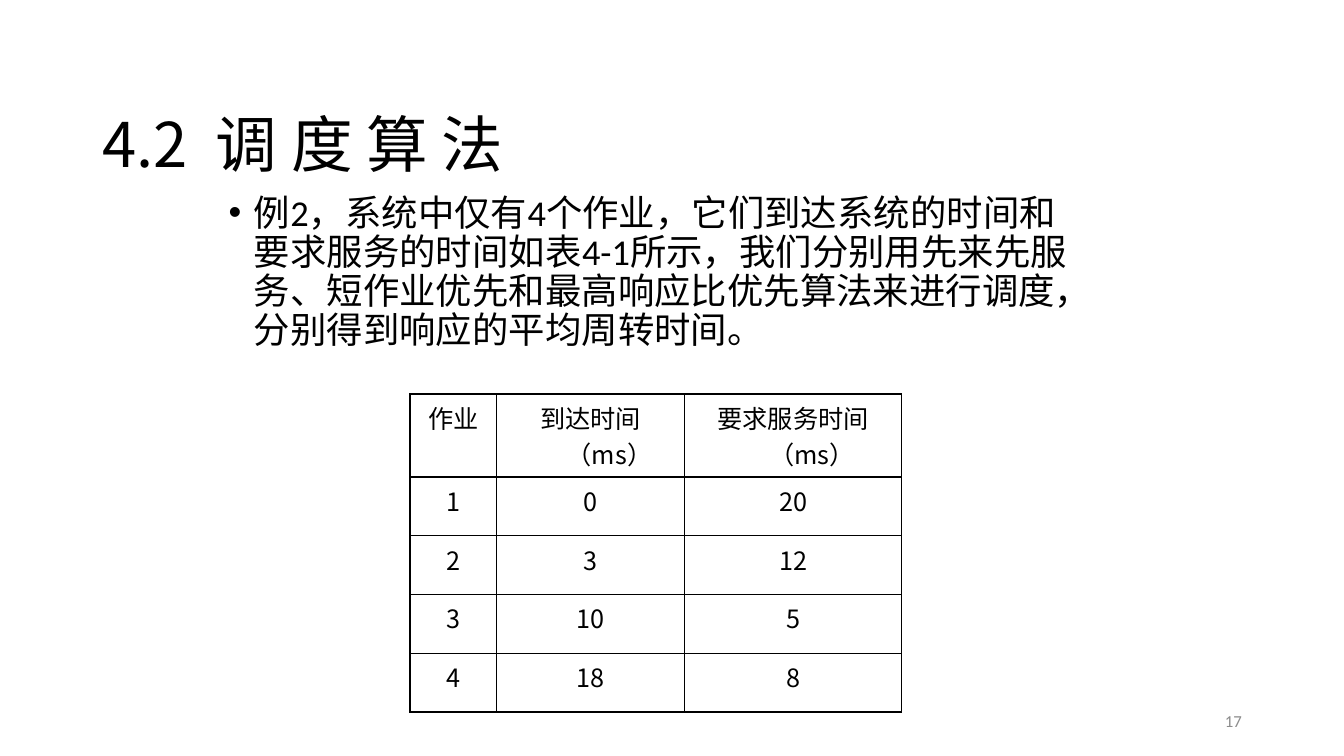
from lxml import etree
from pptx import Presentation
from pptx import util as u
from pptx.dml.color import RGBColor
from pptx.enum import text as t
from pptx.oxml import ns

BLACK = "000000"
GREY = "8C8C8C"
SANS = "Noto Sans CJK SC"
LATIN = "Calibri"
JOBS = [
    ("作业", "到达时间（ms）", "要求服务时间（ms）"),
    ("1", "0", "20"),
    ("2", "3", "12"),
    ("3", "10", "5"),
    ("4", "18", "8"),
]
COLUMN_WIDTHS = [2.19, 4.73, 5.47]
ROW_HEIGHTS = [2.09] + [1.48] * 4


def colour(code):
    return RGBColor.from_string(code)


def apply(target, values):
    for key, value in values.items():
        setattr(target, key, value)


def add_child(parent, tag, **attributes):
    return etree.SubElement(parent, ns.qn(tag), attributes)


def write(frame, words, font, size, code=BLACK, **layout):
    frame.word_wrap = True
    paragraph = frame.paragraphs[0]
    apply(paragraph, layout)
    run = paragraph.add_run()
    run.text = words
    apply(run.font, {"name": font, "size": u.Pt(size), "bold": False})
    run.font.color.rgb = colour(code)
    add_child(run.font._element, "a:ea", typeface=font)
    return paragraph


def hang(paragraph, indent):
    properties = paragraph._p.get_or_add_pPr()
    properties.set("marL", str(indent))
    properties.set("indent", str(-indent))
    return properties


def add_title(slide, words):
    title = slide.shapes.title
    apply(title, {"left": u.Cm(2.33), "top": u.Cm(1.01),
                  "width": u.Cm(29.21), "height": u.Cm(3.68)})
    apply(title.text_frame, {"vertical_anchor": t.MSO_ANCHOR.BOTTOM,
                             "auto_size": t.MSO_AUTO_SIZE.NONE})
    write(title.text_frame, words, SANS, 44,
          alignment=t.PP_ALIGN.LEFT, line_spacing=0.9)


def add_text(slide, left, top, width, height):
    box = slide.shapes.add_textbox(u.Cm(left), u.Cm(top), u.Cm(width), u.Cm(height))
    return box.text_frame


def add_example(slide, words):
    frame = add_text(slide, 5.51, 4.78, 22.23, 12.24)
    paragraph = write(frame, words, LATIN, 26,
                      line_spacing=0.9, space_before=u.Pt(10))
    properties = hang(paragraph, u.Cm(0.64))
    add_child(properties, "a:buFont", typeface="Arial")
    add_child(properties, "a:buChar", char="•")


def add_borders(cell):
    properties = cell._tc.get_or_add_tcPr()
    for position, side in enumerate(("a:lnL", "a:lnR", "a:lnT", "a:lnB")):
        line = etree.Element(ns.qn(side), w=str(u.Pt(1)))
        fill = add_child(line, "a:solidFill")
        add_child(fill, "a:srgbClr", val=BLACK)
        properties.insert(position, line)


def add_jobs(slide):
    frame = slide.shapes.add_table(
        len(JOBS), len(COLUMN_WIDTHS), u.Cm(10.33), u.Cm(9.93),
        u.Cm(sum(COLUMN_WIDTHS)), u.Cm(sum(ROW_HEIGHTS)))
    jobs = frame.table
    apply(jobs, {"first_row": False, "horz_banding": False})
    for column, width in zip(jobs.columns, COLUMN_WIDTHS):
        column.width = u.Cm(width)
    for row, height, entries in zip(jobs.rows, ROW_HEIGHTS, JOBS):
        row.height = u.Cm(height)
        for cell, words in zip(row.cells, entries):
            cell.fill.background()
            add_borders(cell)
            paragraph = write(cell.text_frame, words, SANS, 18,
                              alignment=t.PP_ALIGN.CENTER)
            hang(paragraph, u.Cm(0.95))


def add_page_number(slide, number):
    frame = add_text(slide, 23.93, 17.65, 7.62, 1.02)
    frame.vertical_anchor = t.MSO_ANCHOR.MIDDLE
    write(frame, number, LATIN, 12, GREY, alignment=t.PP_ALIGN.RIGHT)


def main():
    deck = Presentation()
    apply(deck, {"slide_width": u.Cm(33.87), "slide_height": u.Cm(19.05)})
    slide = deck.slides.add_slide(deck.slide_layouts.get_by_name("Title Only"))
    add_title(slide, "4.2  调 度 算 法")
    add_example(slide, "例2，系统中仅有4个作业，它们到达系统的时间和要求服务的时间"
                       "如表4-1所示，我们分别用先来先服务、短作业优先和最高响应比"
                       "优先算法来进行调度，分别得到响应的平均周转时间。")
    add_jobs(slide)
    add_page_number(slide, "17")
    deck.save("out.pptx")


if __name__ == "__main__":
    main()
